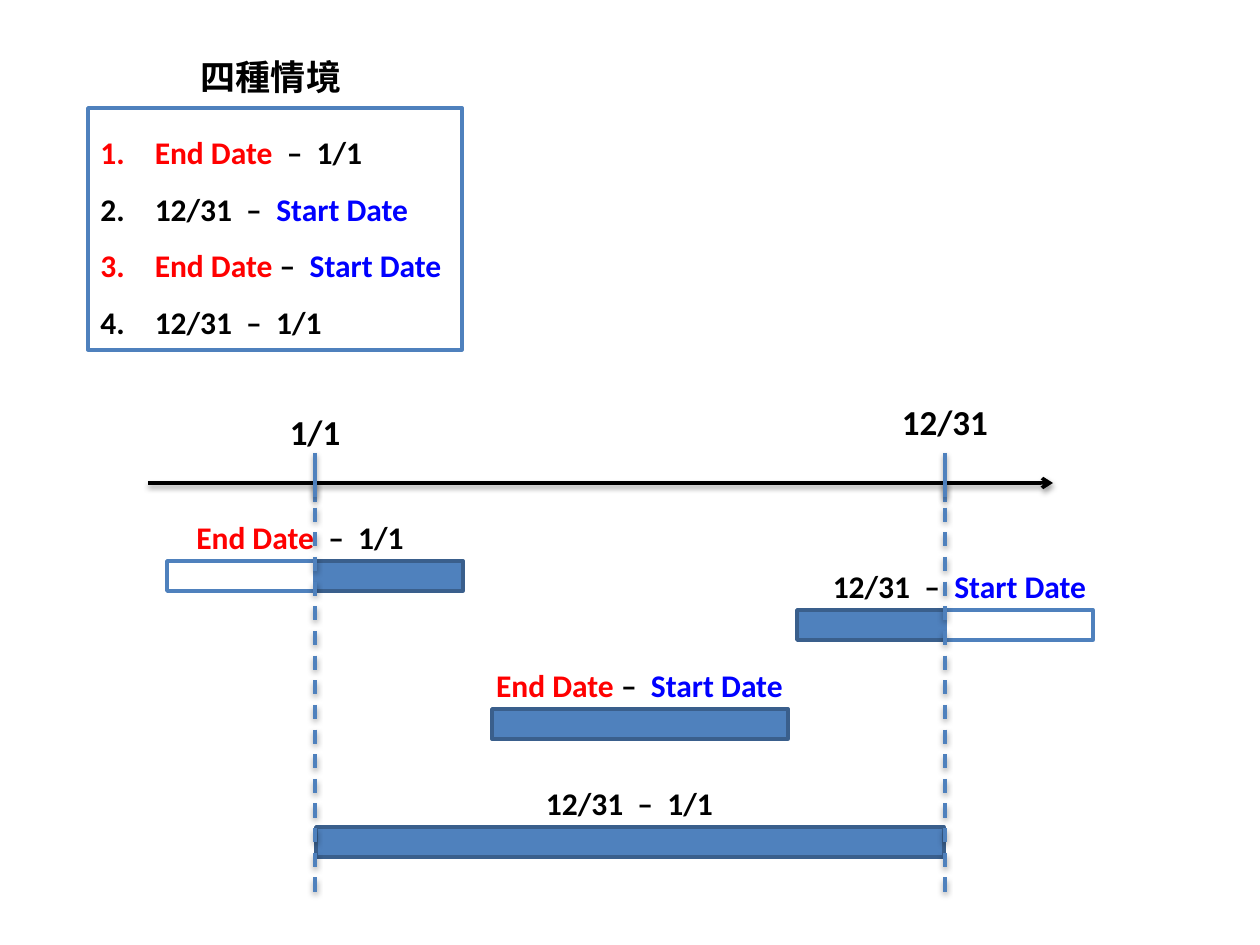
from dataclasses import dataclass

from lxml.etree import SubElement
from pptx import Presentation
from pptx.dml.color import RGBColor
from pptx.enum.dml import MSO_LINE_DASH_STYLE as Dash
from pptx.enum.shapes import MSO_CONNECTOR as Connector, MSO_SHAPE as Preset
from pptx.enum.text import MSO_ANCHOR as Anchor, PP_ALIGN as Align
from pptx.oxml.ns import qn
from pptx.util import Emu, Pt

PIXEL = 914400 // 126


@dataclass(frozen=True)
class Theme:
    black: str = "000000"
    white: str = "FFFFFF"
    red: str = "FF0000"
    blue: str = "0000FF"
    fill: str = "4F81BD"
    edge: str = "3A5F8C"
    heading: int = 20
    body: int = 18
    stroke: int = 2
    font: str = "Calibri"
    heading_font: str = "Arial"


THEME = Theme()


@dataclass(frozen=True)
class Run:
    text: str
    color: str = THEME.black


@dataclass(frozen=True)
class Label:
    left: int
    top: int
    width: int
    height: int
    runs: tuple[Run, ...]
    size: int = THEME.body
    font: str = THEME.font


@dataclass(frozen=True)
class Bar:
    left: int
    top: int
    width: int
    filled: bool = True


@dataclass(frozen=True)
class Rule:
    start: tuple[int, int]
    end: tuple[int, int]
    color: str = THEME.fill
    dashed: bool = False
    arrow: bool = False


def px(value: int) -> Emu:
    return Emu(value * PIXEL)


def rgb(color: str) -> RGBColor:
    return RGBColor.from_string(color)


def add_runs(para, runs: tuple[Run, ...], size: int, font: str) -> None:
    for run in runs:
        span = para.add_run()
        span.text = run.text
        span.font.size = Pt(size)
        span.font.name = font
        span.font.bold = True
        span.font.color.rgb = rgb(run.color)


def draw_label(page, label: Label) -> None:
    box = page.shapes.add_textbox(*map(px, (label.left, label.top, label.width, label.height)))
    box.text_frame.word_wrap = False
    para = box.text_frame.paragraphs[0]
    para.alignment = Align.CENTER
    add_runs(para, label.runs, label.size, label.font)


def draw_box(page, left: int, top: int, width: int, height: int, fill: str, edge: str):
    box = page.shapes.add_shape(Preset.RECTANGLE, *map(px, (left, top, width, height)))
    box.shadow.inherit = False
    box.fill.solid()
    box.fill.fore_color.rgb = rgb(fill)
    box.line.color.rgb = rgb(edge)
    box.line.width = Pt(THEME.stroke)
    return box


def draw_bar(page, bar: Bar) -> None:
    fill, edge = (THEME.fill, THEME.edge) if bar.filled else (THEME.white, THEME.fill)
    draw_box(page, bar.left, bar.top, bar.width, BAR_HEIGHT, fill, edge)


def draw_list(page, items: tuple[tuple[Run, ...], ...]) -> None:
    box = draw_box(page, 88, 108, 374, 242, THEME.white, THEME.fill)
    frame = box.text_frame
    frame.word_wrap = True
    frame.vertical_anchor = Anchor.TOP
    for index, runs in enumerate(items):
        para = frame.add_paragraph() if index else frame.paragraphs[0]
        para.alignment = Align.LEFT
        para.line_spacing = 1.5
        properties = para._p.get_or_add_pPr()
        properties.set("marL", "342900")
        properties.set("indent", "-342900")
        SubElement(properties, qn("a:buFont"), typeface="+mj-lt")
        SubElement(properties, qn("a:buAutoNum"), type="arabicPeriod")
        add_runs(para, (Run(" ", runs[0].color), *runs), THEME.body, THEME.font)


def draw_rule(page, rule: Rule) -> None:
    line = page.shapes.add_connector(Connector.STRAIGHT, *map(px, rule.start + rule.end))
    line.line.color.rgb = rgb(rule.color)
    line.line.width = Pt(THEME.stroke)
    if rule.dashed:
        line.line.dash_style = Dash.DASH
    if rule.arrow:
        SubElement(line.line._get_or_add_ln(), qn("a:tailEnd"), type="arrow")
    effects = SubElement(line._element.spPr, qn("a:effectLst"))
    shadow = SubElement(effects, qn("a:outerShdw"), blurRad="40000", dist="20000",
                        dir="5400000", rotWithShape="0")
    color = SubElement(shadow, qn("a:srgbClr"), val=THEME.black)
    SubElement(color, qn("a:alpha"), val="38000")


YEAR_START, YEAR_END = 315, 945
AXIS_Y = 483
BAR_HEIGHT = 30
HALF_BAR = 148
LABEL_HEIGHT = 50

END_DATE = Run("End Date", THEME.red)
START_DATE = Run("Start Date", THEME.blue)
SCENARIOS = (
    (END_DATE, Run("  –  1/1")),
    (Run("12/31  –  "), START_DATE),
    (END_DATE, Run(" –  "), START_DATE),
    (Run("12/31  –  1/1"),),
)
LABEL_SPOTS = ((177, 512, 246), (797, 561, 325), (482, 660, 315), (295, 778, 669))
LABELS = (
    Label(168, 49, 206, 55, (Run("四種情境"),), THEME.heading, THEME.heading_font),
    Label(YEAR_START - 59, 404, 118, 55, (Run("1/1"),), THEME.heading),
    Label(YEAR_END - 59, 394, 118, 55, (Run("12/31"),), THEME.heading),
    *(Label(*spot, LABEL_HEIGHT, runs) for spot, runs in zip(LABEL_SPOTS, SCENARIOS)),
)
BARS = (
    Bar(YEAR_START, 561, HALF_BAR),
    Bar(YEAR_START - HALF_BAR, 561, HALF_BAR, filled=False),
    Bar(YEAR_END - HALF_BAR, 610, HALF_BAR),
    Bar(YEAR_END, 610, HALF_BAR, filled=False),
    Bar(492, 709, 2 * HALF_BAR),
    Bar(YEAR_START + 1, 827, YEAR_END - YEAR_START - 2),
)
AXIS = Rule((148, AXIS_Y), (1053, AXIS_Y), THEME.black, arrow=True)
TICKS = tuple(Rule((x, 453), (x, 502)) for x in (YEAR_START, YEAR_END))
GUIDES = tuple(Rule((x, AXIS_Y), (x, 896), dashed=True) for x in (YEAR_START, YEAR_END))

deck = Presentation()
deck.slide_width, deck.slide_height = px(1260), px(945)
page = deck.slides.add_slide(deck.slide_layouts[6])
draw_list(page, SCENARIOS)
for rule in (AXIS, *TICKS):
    draw_rule(page, rule)
for bar in BARS:
    draw_bar(page, bar)
for label in LABELS:
    draw_label(page, label)
for rule in GUIDES:
    draw_rule(page, rule)
deck.save("out.pptx")
